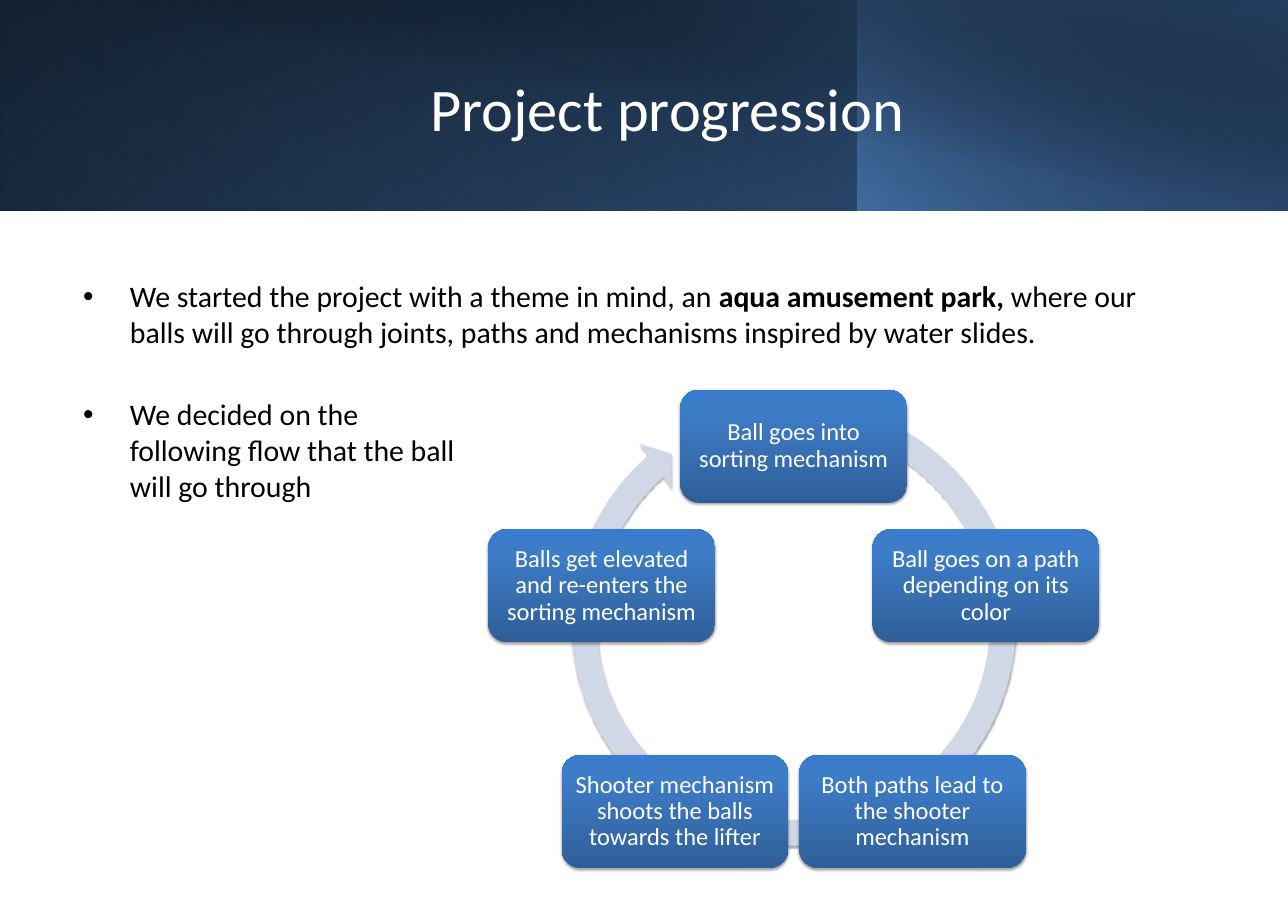
import math
import pptx
import pptx.util
import pptx.oxml
import pptx.oxml.ns
import pptx.dml.color
import pptx.enum.shapes
import pptx.enum.text

Inches, Pt = pptx.util.Inches, pptx.util.Pt
Shape = pptx.enum.shapes.MSO_SHAPE
Align = pptx.enum.text.PP_ALIGN
Anchor = pptx.enum.text.MSO_ANCHOR

# Content
TITLE = "Project progression"
POINTS = [
    [("We started the project with a theme in mind, an ", False),
     ("aqua amusement park, ", True),
     ("where our balls will go through joints, paths and mechanisms "
      "inspired by water slides.", False)],
    [("We decided on the\vfollowing flow that the ball\vwill go through", False)],
]
STEPS = [
    "Ball goes into sorting mechanism",
    "Ball goes on a path depending on its color",
    "Both paths lead to the shooter mechanism",
    "Shooter mechanism shoots the balls towards the lifter",
    "Balls get elevated and re-enters the sorting mechanism",
]
COLORS = {"white": "FFFFFF", "black": "000000", "navy": "254061",
          "steel": "376092", "blue": "4F81BD", "ring": "D0D8E8",
          "deep": "2F5F99", "mid": "3D7CC7", "light": "3A7CCB"}

# Header layers: left, width, height, rotation, flipped, angle,
# stops as (position %, color, opacity %)
LAYERS = [
    (0, 23.4, 3.83, 0, True, 140, [(0, "black", 100), (100, "steel", 100)]),
    (0, 15.58, 3.83, 180, True, 230, [(20, "blue", 0), (100, "navy", 55)]),
    (15.58, 7.82, 3.83, 0, True, 220, [(0, "blue", 66), (100, "black", 30)]),
    (0.88, 22.52, 3.84, 0, False, 280, [(50, "black", 0), (99, "navy", 52)]),
]
SHEEN = [(0, "deep", 100), (80, "mid", 100), (100, "light", 100)]

# Cycle geometry
MID_X, MID_Y, RADIUS = 14.42, 11.78, 3.67
BOX_W, BOX_H = 4.12, 2.06
RING = (10.12, 7.03, 8.6, 8.6)
BEND = [0.055, 3.307, 137.249, 174.171, 0.058]


def color(name):
    return pptx.dml.color.RGBColor.from_string(COLORS[name])


def parts(xml):
    return pptx.oxml.parse_xml(xml.replace(
        ">", " " + pptx.oxml.ns.nsdecls("a") + ">", 1))


def place(item, box):
    item.left, item.top, item.width, item.height = map(Inches, box)


def write(frame, text, size=39, ink="black", align=Align.LEFT,
          anchor=Anchor.MIDDLE, inset=(0.23, 0.11), line=1.0, gap=0, hang=0):
    """Fill a frame; text is a string or a list of paragraphs of (text, bold)."""
    frame.word_wrap = True
    frame.auto_size = pptx.enum.text.MSO_AUTO_SIZE.NONE
    frame.vertical_anchor = anchor
    frame.margin_left = frame.margin_right = Inches(inset[0])
    frame.margin_top = frame.margin_bottom = Inches(inset[1])
    paras = [[(text, False)]] if isinstance(text, str) else text
    for i, runs in enumerate(paras):
        para = frame.add_paragraph() if i else frame.paragraphs[0]
        para.alignment, para.line_spacing = align, line
        para.space_before = Pt(gap if i else 0)
        if hang:
            props = para._p.get_or_add_pPr()
            props.set("marL", str(Inches(hang)))
            props.set("indent", str(-Inches(hang)))
        for words, bold in runs:
            for j, piece in enumerate(words.split("\v")):
                if j:
                    para.add_line_break()
                run = para.add_run()
                run.text = piece
                font = run.font
                font.name, font.size, font.bold = "Calibri", Pt(size), bold
                font.color.rgb = color(ink)


def draw(slide, kind, box):
    item = slide.shapes.add_shape(kind, *map(Inches, box))
    item.shadow.inherit = False
    item.line.fill.background()
    return item


def blend(item, stops, angle):
    marks = "".join(
        f'<a:gs pos="{pos * 1000}"><a:srgbClr val="{COLORS[name]}">'
        f'<a:alpha val="{alpha * 1000}"/></a:srgbClr></a:gs>'
        for pos, name, alpha in stops)
    fill = parts(f'<a:gradFill rotWithShape="1"><a:gsLst>{marks}</a:gsLst>'
                 f'<a:lin ang="{angle * 60000}" scaled="0"/></a:gradFill>')
    item.fill.solid()
    old = item._element.spPr.find(pptx.oxml.ns.qn("a:solidFill"))
    old.getparent().replace(old, fill)


def shade(item):
    props = item._element.spPr
    old = props.find(pptx.oxml.ns.qn("a:effectLst"))
    props.replace(old, parts(
        f'<a:effectLst><a:outerShdw blurRad="{Pt(3.1)}" dist="{Pt(1.8)}" '
        f'dir="5400000" rotWithShape="0"><a:srgbClr val="{COLORS["black"]}">'
        '<a:alpha val="35000"/></a:srgbClr></a:outerShdw></a:effectLst>'))


def main():
    deck = pptx.Presentation()
    deck.slide_width, deck.slide_height = Inches(23.4), Inches(16.5)
    slide = deck.slides.add_slide(deck.slide_layouts[1])
    title, body = slide.placeholders

    # Header, kept behind the placeholders
    tree = title._element.getparent()
    for left, width, height, turn, flip, angle, stops in LAYERS:
        layer = draw(slide, Shape.RECTANGLE, (left, 0, width, height))
        layer.rotation = turn
        if flip:
            layer._element.spPr.xfrm.set("flipH", "1")
        blend(layer, stops, angle)
        tree.insert(tree.index(title._element), layer._element)

    # Title and bullets
    place(title, (2.63, 0.71, 18.99, 2.49))
    write(title.text_frame, TITLE, size=79, ink="white", align=Align.CENTER)
    place(body, (1.28, 4.94, 20.67, 4.4))
    write(body.text_frame, POINTS, anchor=Anchor.TOP, gap=61, hang=0.85)

    # Ring arrow
    ring = draw(slide, Shape.CIRCULAR_ARROW, RING)
    for i, bend in enumerate(BEND):
        ring.adjustments[i] = bend
    ring.fill.solid()
    ring.fill.fore_color.rgb = color("ring")
    shade(ring)

    # Steps, evenly spaced clockwise from the top
    for i, step in enumerate(STEPS):
        turn = 2 * math.pi * i / len(STEPS)
        left = MID_X + RADIUS * math.sin(turn) - BOX_W / 2
        top = MID_Y - RADIUS * math.cos(turn) - BOX_H / 2
        box = draw(slide, Shape.ROUNDED_RECTANGLE, (left, top, BOX_W, BOX_H))
        blend(box, SHEEN, 270)
        shade(box)
        write(box.text_frame, step, size=32, ink="white", align=Align.CENTER,
              inset=(0.13, 0.13), line=0.9)

    deck.save("out.pptx")


if __name__ == "__main__":
    main()
